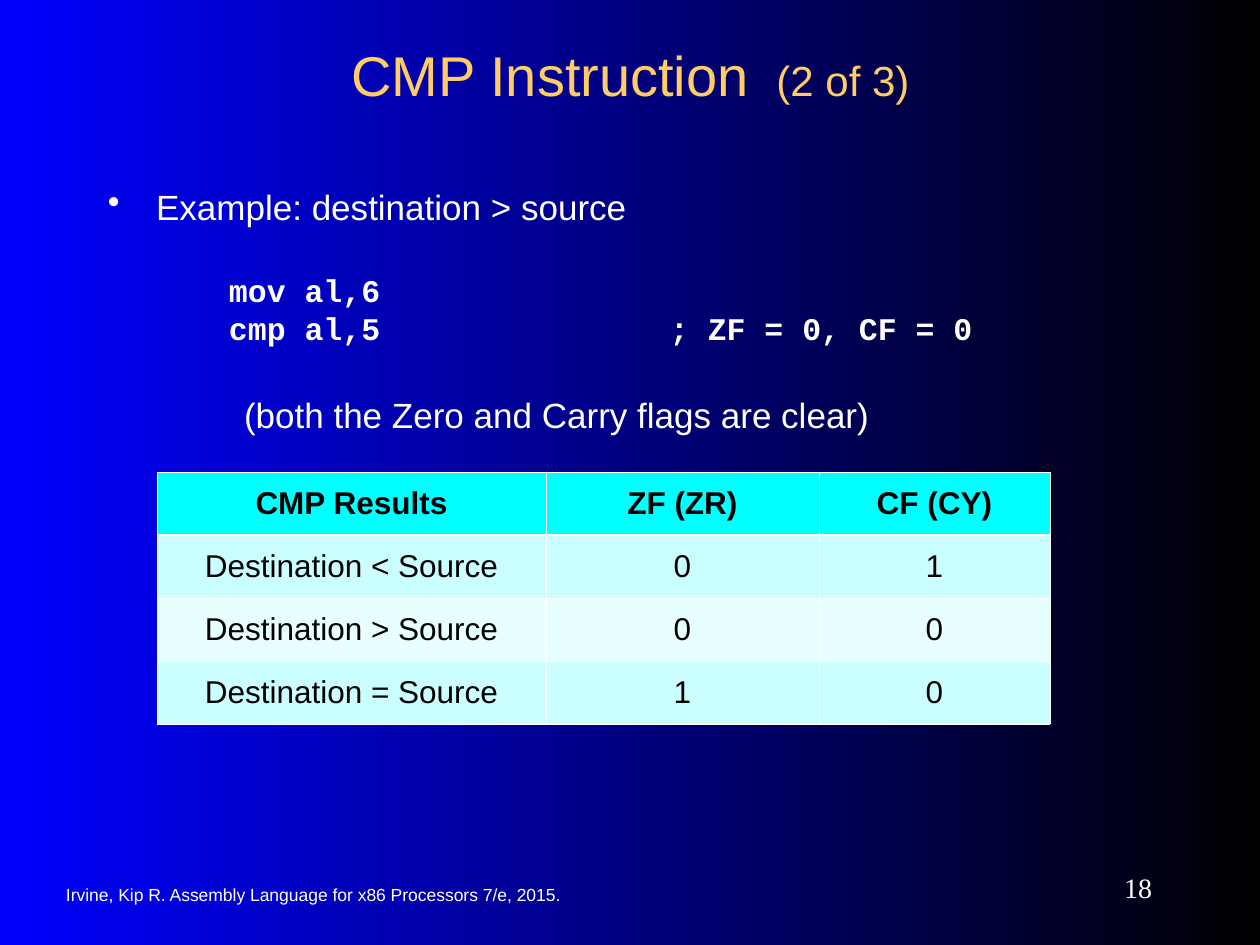
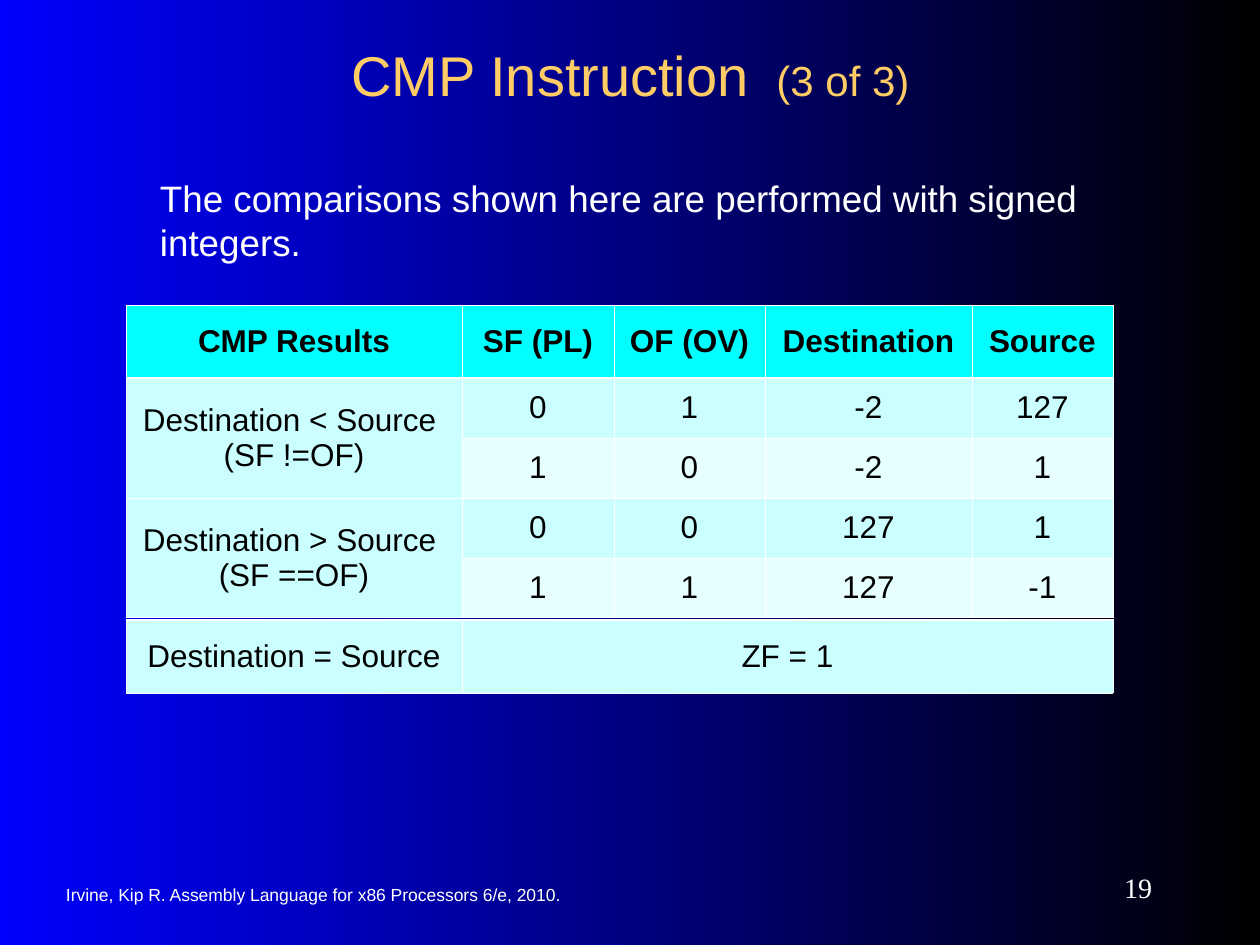
from lxml import etree
from pptx import Presentation
from pptx.dml.color import RGBColor
from pptx.enum.text import MSO_ANCHOR, PP_ALIGN
from pptx.oxml.ns import qn
from pptx.util import Pt

LEFT, CENTER, RIGHT = PP_ALIGN.LEFT, PP_ALIGN.CENTER, PP_ALIGN.RIGHT
TOP, MIDDLE = MSO_ANCHOR.TOP, MSO_ANCHOR.MIDDLE
EMU_PER_PX = 914400 / 126

WHITE, BLACK, GOLD, BLUE = "FFFFFF", "000000", "FFCC66", "0000FF"
HEADER_FILL, BAND_FILLS = "00FFFF", ("CBFFFF", "E7FFFF")
SANS, MONO, SERIF = "Arial", "Courier New", "Times New Roman"
THIN, THICK = 0.45, 1.47
BULLET_INDENT = 48
COMMENT_TAB = 441

# Boxes are left, top, width, height in px
SLIDE_SIZE = (1260, 945)
TITLE_BOX = (95, 32, 1071, 84)
FOOTER_BOX = (53, 873, 651, 42)
NUMBER_BOX = (1029, 861, 136, 53)

SLIDES = [
    {
        "part": " (2 of 3)",
        "footer": "Irvine, Kip R. Assembly Language for x86 Processors 7/e, 2015.",
        "number": "18",
        "texts": [
            {"lines": ["Example: destination > source"], "box": (95, 179, 850, 84),
             "size": 20, "bullet": True},
            {"lines": ["mov al,6", "cmp al,5\t; ZF = 0, CF = 0"],
             "box": (210, 262, 840, 116), "size": 18, "font": MONO, "bold": True,
             "insets": (19, 25), "line_spacing": 0.5, "gap": 11.2, "tab": COMMENT_TAB},
            {"lines": ["(both the Zero and Carry flags are clear)"],
             "box": (231, 388, 777, 63), "size": 20},
        ],
        "tables": [
            {"at": (157, 472), "columns": [389, 273, 231], "heights": [63] * 4,
             "header": ["CMP Results", "ZF (ZR)", "CF (CY)"],
             "rows": [
                 ["Destination < Source", "0", "1"],
                 ["Destination > Source", "0", "0"],
                 ["Destination = Source", "1", "0"],
             ]},
        ],
    },
    {
        "part": " (3 of 3)",
        "footer": "Irvine, Kip R. Assembly Language for x86 Processors 6/e, 2010.",
        "number": "19",
        "texts": [
            {"lines": ["The comparisons shown here are performed with signed integers."],
             "box": (147, 157, 977, 126), "size": 21, "insets": (13, 19)},
        ],
        # None continues the cell above it
        "tables": [
            {"at": (126, 305), "columns": [336, 152, 151, 207, 141],
             "heights": [73] + [60] * 4,
             "header": ["CMP Results", "SF (PL)", "OF (OV)", "Destination", "Source"],
             "rows": [
                 ["Destination < Source \n(SF !=OF)", "0", "1", "-2", "127"],
                 [None, "1", "0", "-2", "1"],
                 ["Destination > Source \n(SF ==OF)", "0", "0", "127", "1"],
                 [None, "1", "1", "127", "-1"],
             ]},
            {"at": (126, 620), "columns": [336, 651], "heights": [73],
             "rows": [["Destination = Source", "ZF = 1"]]},
        ],
    },
]


def px(length):
    return round(length * EMU_PER_PX)


def rgb(color):
    return RGBColor.from_string(color)


def set_font(font, size, color, name=SANS, bold=False):
    font.name, font.size, font.bold = name, Pt(size), bold
    font.color.rgb = rgb(color)


def add_bullet(paragraph):
    properties = paragraph._p.get_or_add_pPr()
    properties.set("marL", str(px(BULLET_INDENT)))
    properties.set("indent", str(-px(BULLET_INDENT)))
    etree.SubElement(properties, qn("a:buChar"), char="•")


def add_tab(paragraph, position):
    tabs = etree.SubElement(paragraph._p.get_or_add_pPr(), qn("a:tabLst"))
    etree.SubElement(tabs, qn("a:tab"), pos=str(px(position)), algn="l")


def add_text(slide, lines, box, size, font=SANS, color=WHITE, bold=False, align=LEFT,
             anchor=TOP, insets=(13, 6), line_spacing=None, gap=0, bullet=False, tab=None):
    """Add one text box, a paragraph for each line, and return its text frame."""
    frame = slide.shapes.add_textbox(*map(px, box)).text_frame
    frame.word_wrap, frame.vertical_anchor = True, anchor
    frame.margin_left = frame.margin_right = px(insets[0])
    frame.margin_top = frame.margin_bottom = px(insets[1])
    frame.text = "\n".join(lines)
    for index, paragraph in enumerate(frame.paragraphs):
        paragraph.alignment = align
        if line_spacing:
            paragraph.line_spacing = line_spacing
        if index and gap:
            paragraph.space_before = Pt(gap)
        if bullet:
            add_bullet(paragraph)
        if tab:
            add_tab(paragraph, tab)
        set_font(paragraph.font, size, color, font, bold)
    return frame


def add_title(slide, part):
    paragraph = add_text(slide, ["CMP Instruction "], TITLE_BOX, 32, color=GOLD,
                         align=CENTER, anchor=MIDDLE).paragraphs[0]
    run = paragraph.add_run()
    run.text = part
    run.font.size = Pt(24)


def set_borders(cell, top, bottom):
    """Draw white borders; only the top and bottom widths vary."""
    properties = cell._tc.get_or_add_tcPr()
    for side, width in (("L", THIN), ("R", THIN), ("T", top), ("B", bottom)):
        line = etree.SubElement(properties, qn(f"a:ln{side}"), w=str(Pt(width)))
        fill = etree.SubElement(line, qn("a:solidFill"))
        etree.SubElement(fill, qn("a:srgbClr"), val=WHITE)


def style_cell(cell, text, fill, bold, top, bottom):
    set_borders(cell, top, bottom)
    cell.fill.solid()
    cell.fill.fore_color.rgb = rgb(fill)
    cell.vertical_anchor = MIDDLE
    cell.margin_left = cell.margin_right = px(13)
    cell.margin_top = cell.margin_bottom = px(6)
    cell.text = text or ""
    for paragraph in cell.text_frame.paragraphs:
        paragraph.alignment = CENTER
        set_font(paragraph.font, 18, BLACK, bold=bold)


def add_results_table(slide, at, columns, heights, rows, header=None):
    all_rows = [header] + rows if header else rows
    first_body = len(all_rows) - len(rows)
    box = (*at, sum(columns), sum(heights))
    table = slide.shapes.add_table(len(all_rows), len(columns), *map(px, box)).table
    table.first_row = table.horz_banding = False
    for column, width in zip(table.columns, columns):
        column.width = px(width)
    for row, height in zip(table.rows, heights):
        row.height = px(height)
    for r, texts in enumerate(all_rows):
        is_header = r < first_body
        fill = HEADER_FILL if is_header else BAND_FILLS[(r - first_body) % 2]
        top = THICK if r == first_body else THIN
        bottom = THICK if is_header else THIN
        for c, text in enumerate(texts):
            style_cell(table.cell(r, c), text, fill, is_header, top, bottom)
            if text is None:
                table.cell(r - 1, c).merge(table.cell(r, c))


def set_background(master):
    fill = master.background.fill
    fill.gradient()
    fill.gradient_angle = 0
    for stop, position, color in zip(fill.gradient_stops, (0, 1), (BLUE, BLACK)):
        stop.position = position
        stop.color.rgb = rgb(color)


def main():
    presentation = Presentation()
    presentation.slide_width, presentation.slide_height = map(px, SLIDE_SIZE)
    set_background(presentation.slide_master)
    for content in SLIDES:
        slide = presentation.slides.add_slide(presentation.slide_layouts[6])
        add_text(slide, [content["footer"]], FOOTER_BOX, 10, anchor=MIDDLE)
        add_text(slide, [content["number"]], NUMBER_BOX, 16, SERIF,
                 align=RIGHT, anchor=MIDDLE)
        add_title(slide, content["part"])
        for text in content["texts"]:
            add_text(slide, **text)
        for table in content["tables"]:
            add_results_table(slide, **table)
    presentation.save("out.pptx")


if __name__ == "__main__":
    main()
